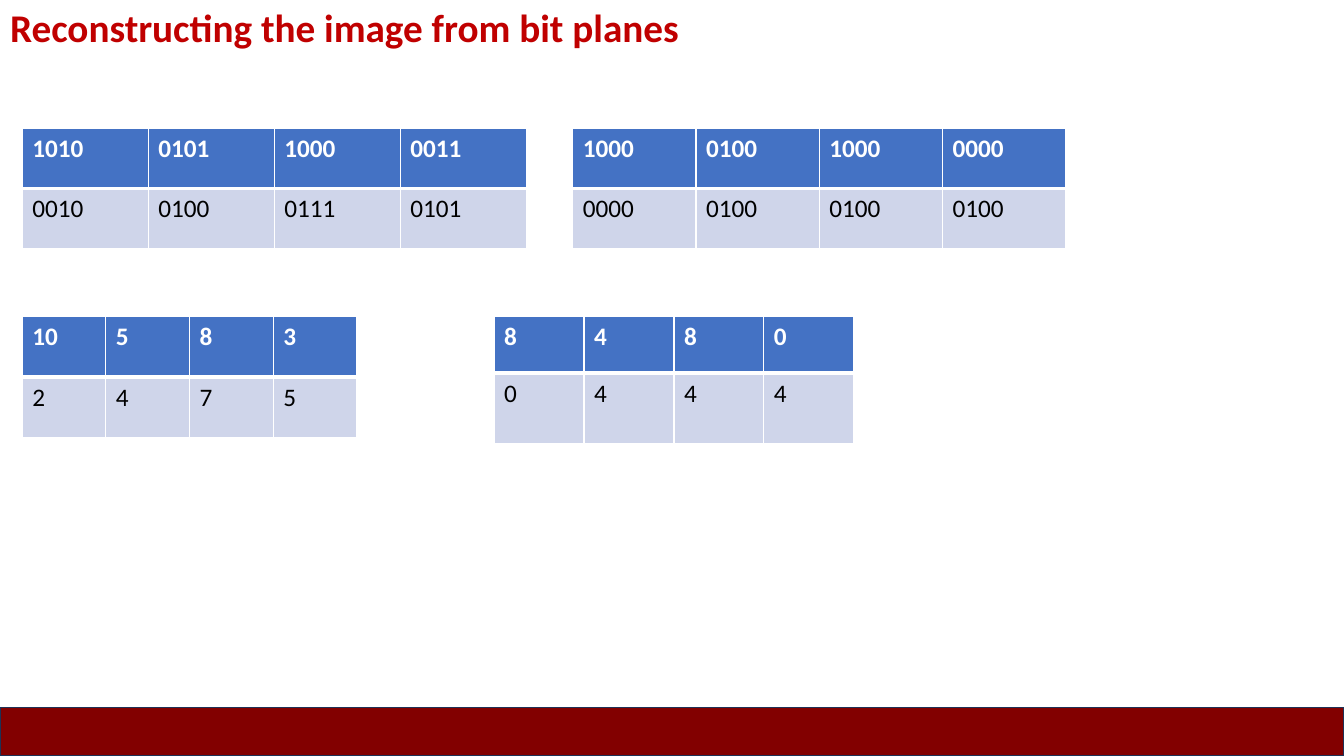
from lxml import etree
from pptx import Presentation
from pptx.dml.color import RGBColor
from pptx.enum.shapes import MSO_SHAPE
from pptx.enum.text import MSO_ANCHOR, MSO_AUTO_SIZE, PP_ALIGN
from pptx.oxml.ns import qn
from pptx.util import Inches, Pt

RECTANGLE = MSO_SHAPE.RECTANGLE
TOP = MSO_ANCHOR.TOP
NO_AUTOFIT = MSO_AUTO_SIZE.NONE
LEFT = PP_ALIGN.LEFT

WHITE = RGBColor(0xFF, 0xFF, 0xFF)
BLACK = RGBColor(0, 0, 0)
RED = RGBColor(0xC0, 0, 0)
HEADER_BLUE = RGBColor(0x44, 0x72, 0xC4)
BAND_BLUE = RGBColor(0xCF, 0xD5, 0xEA)
FOOTER_RED = RGBColor(0x82, 0, 0)
FOOTER_LINE = RGBColor(0x1E, 0x32, 0x56)

FONT = "Calibri"
TITLE_ONLY = 5
WIDTH, HEIGHT = 13.33, 7.5

BIT_TABLES = [
    ((0.22, 1.27, 5, 1.19), (0.6, 0.6),
     ["1010 0101 1000 0011", "0010 0100 0111 0101"]),
    ((5.68, 1.27, 4.89, 1.19), (0.6, 0.6),
     ["1000 0100 1000 0000", "0000 0100 0100 0100"]),
    ((0.22, 3.14, 3.32, 1.19), (0.6, 0.6), ["10 5 8 3", "2 4 7 5"]),
    ((4.9, 3.14, 3.57, 1.26), (0.56, 0.7), ["8 4 8 0", "0 4 4 4"]),
]


def add_text(paragraph, text, size, color, bold):
    """Add one formatted run to a paragraph."""
    run = paragraph.add_run()
    run.text = text
    run.font.name = FONT
    run.font.size = Pt(size)
    run.font.bold = bold
    run.font.color.rgb = color


def set_borders(cell, widths):
    """Draw white cell borders with a width in points for each side."""
    properties = cell._tc.get_or_add_tcPr()
    for side in ("L", "R", "T", "B"):
        line = etree.SubElement(properties, qn(f"a:ln{side}"), w=str(Pt(widths[side])))
        fill = etree.SubElement(line, qn("a:solidFill"))
        etree.SubElement(fill, qn("a:srgbClr"), val=str(WHITE))


def add_heading(slide, box, text):
    """Place the heading in the title placeholder, at the top left of the box."""
    title = slide.shapes.title
    title.left, title.top, title.width, title.height = map(Inches, box)
    frame = title.text_frame
    frame.word_wrap = True
    frame.auto_size = NO_AUTOFIT
    frame.vertical_anchor = TOP
    paragraph = frame.paragraphs[0]
    paragraph.alignment = LEFT
    paragraph.line_spacing = 0.9
    add_text(paragraph, text, 28, RED, True)


def add_bit_table(slide, box, row_heights, lines):
    """Place a table with a blue header row and equal columns in the box."""
    rows = [line.split() for line in lines]
    column_count = len(rows[0])
    table = slide.shapes.add_table(len(rows), column_count, *map(Inches, box)).table
    for column in table.columns:
        column.width = Inches(box[2] / column_count)
    for row_index, values in enumerate(rows):
        table.rows[row_index].height = Inches(row_heights[row_index])
        header = row_index == 0
        widths = {"L": 1, "R": 1, "T": 1 if header else 3, "B": 3 if header else 1}
        for column_index, value in enumerate(values):
            cell = table.cell(row_index, column_index)
            set_borders(cell, widths)
            cell.fill.solid()
            cell.fill.fore_color.rgb = HEADER_BLUE if header else BAND_BLUE
            add_text(cell.text_frame.paragraphs[0], value, 18,
                     WHITE if header else BLACK, header)


def add_footer(slide, box):
    """Place the dark red band in the box."""
    shape = slide.shapes.add_shape(RECTANGLE, *map(Inches, box))
    shape.shadow.inherit = False
    shape.fill.solid()
    shape.fill.fore_color.rgb = FOOTER_RED
    shape.line.color.rgb = FOOTER_LINE
    shape.line.width = Pt(1)


def main():
    """Build the slide and save it."""
    presentation = Presentation()
    presentation.slide_width = Inches(WIDTH)
    presentation.slide_height = Inches(HEIGHT)
    slide = presentation.slides.add_slide(presentation.slide_layouts[TITLE_ONLY])
    add_heading(slide, (0, 0.04, WIDTH, 7.39), "Reconstructing the image from bit planes")
    for box, row_heights, lines in BIT_TABLES:
        add_bit_table(slide, box, row_heights, lines)
    add_footer(slide, (0, 7.02, WIDTH, 0.48))
    presentation.save("out.pptx")


if __name__ == "__main__":
    main()
